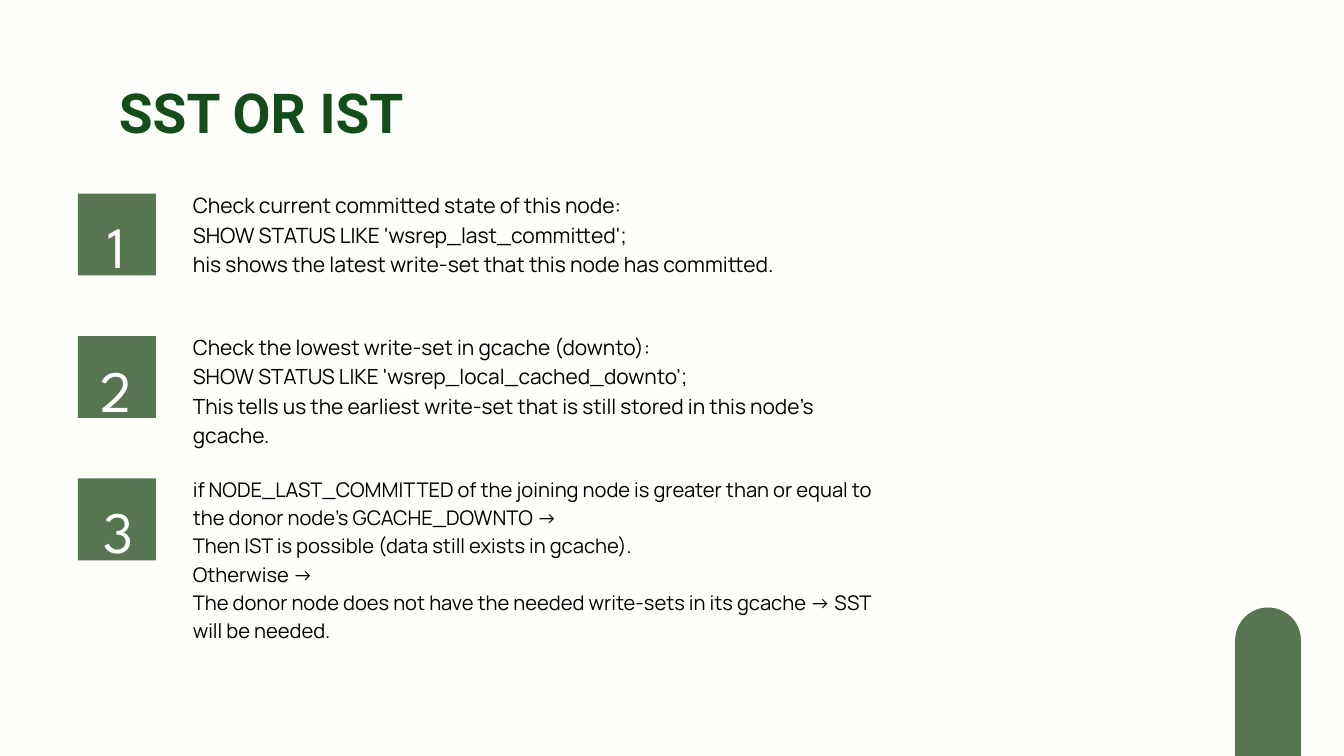
from pptx import Presentation
from pptx import util as u
from pptx.dml import color
from pptx.enum import shapes, text

GREEN = "577550"


def paint(fill, value):
    fill.solid()
    fill.fore_color.rgb = color.RGBColor.from_string(value)


def add_text(content, left, top, width, height, size, spacing, font, hex_color="000000",
             bold=False, align=text.PP_ALIGN.LEFT):
    box = s.shapes.add_textbox(u.Inches(left), u.Inches(top), u.Inches(width), u.Inches(height))
    tf = box.text_frame
    tf.word_wrap = True
    tf.margin_left = tf.margin_right = tf.margin_top = tf.margin_bottom = 0
    for i, line in enumerate(content.split("\n")):
        p = tf.paragraphs[0] if i == 0 else tf.add_paragraph()
        p.alignment = align
        p.line_spacing = u.Pt(spacing)
        r = p.add_run()
        r.text = line
        r.font.name = font
        r.font.size = u.Pt(size)
        r.font.bold = bold
        paint(r.font.fill, hex_color)


prs = Presentation()
prs.slide_width = u.Inches(20)
prs.slide_height = u.Inches(11.25)
s = prs.slides.add_slide(prs.slide_layouts[6])
paint(s.background.fill, "FEFFFA")

steps = [
    ("Check current committed state of this node:\n"
     "SHOW STATUS LIKE 'wsrep_last_committed';\n"
     "his shows the latest write-set that this node has committed.",
     1.12, 2.95, 9.83, 1.76, 22.6, 31.7),
    ("Check the lowest write-set in gcache (downto):\n"
     "SHOW STATUS LIKE 'wsrep_local_cached_downto';\n"
     "This tells us the earliest write-set that is still stored in this node’s gcache.",
     1.12, 5.09, 9.83, 3.43, 22.4, 31.3),
    ("if NODE_LAST_COMMITTED of the joining node is greater than or equal to "
     "the donor node’s GCACHE_DOWNTO →\n"
     "Then IST is possible (data still exists in gcache).\n"
     "Otherwise →\n"
     "The donor node does not have the needed write-sets in its gcache → SST will be needed.",
     1.15, 7.2, 10.27, 2.93, 21.6, 30.3),
]

blocks = [(shapes.MSO_SHAPE.RECTANGLE, 1.16, 2.88 + 2.12 * i, 1.16, 1.22) for i in range(len(steps))]
blocks.append((shapes.MSO_SHAPE.ROUNDED_RECTANGLE, 18.38, 9.04, 0.98, 2.72))
for kind, left, top, width, height in blocks:
    sp = s.shapes.add_shape(kind, u.Inches(left), u.Inches(top), u.Inches(width), u.Inches(height))
    sp.shadow.inherit = False
    sp.line.fill.background()
    paint(sp.fill, GREEN)
    if kind == shapes.MSO_SHAPE.ROUNDED_RECTANGLE:
        sp.adjustments[0] = 0.5

for i, (content, num_left, num_top, width, height, size, spacing) in enumerate(steps):
    add_text(str(i + 1), num_left, num_top, 1.23, 1.17, size=62.7, spacing=87.7,
             font="League Spartan", hex_color="FFFFFF", align=text.PP_ALIGN.CENTER)
    add_text(content, 2.87, 2.8 + 2.12 * i, width, height, size=size, spacing=spacing, font="Manrope")

add_text("SST OR IST", 1.74, 1.01, 4.3, 1.1, size=59, spacing=82.6, font="Roboto",
         hex_color="134E1A", bold=True, align=text.PP_ALIGN.CENTER)

prs.save("out.pptx")
